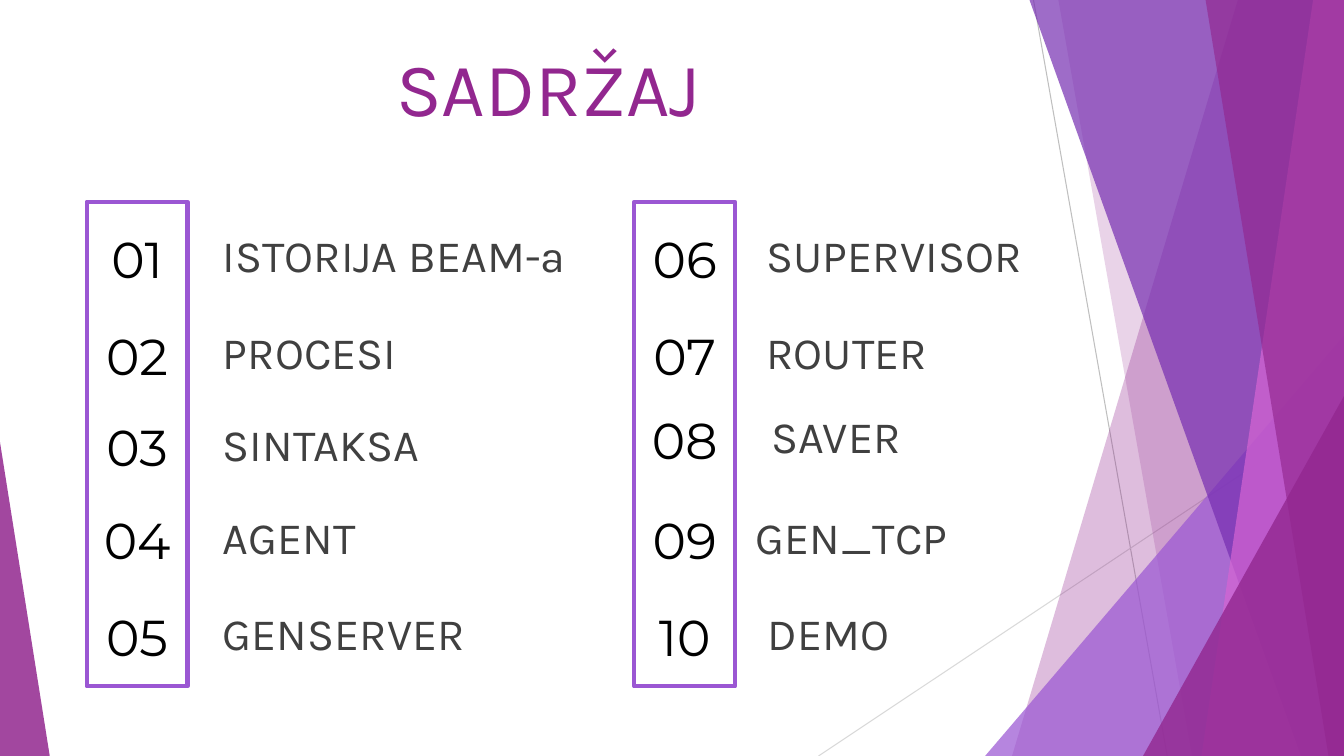
from lxml.etree import SubElement
from pptx import Presentation
from pptx.dml.color import RGBColor
from pptx.enum.shapes import MSO_CONNECTOR as Connector, MSO_SHAPE as Shape
from pptx.enum.text import MSO_ANCHOR as Anchor, MSO_AUTO_SIZE as AutoSize, PP_ALIGN as Align
from pptx.oxml.ns import qn
from pptx.util import Inches, Pt

WIDTH, HEIGHT = Inches(13.33), Inches(7.5)
PURPLE, LAVENDER, VIOLET, PINK = "92278F", "9B57D3", "762EB1", "D665D3"
TITLE = {"size": Pt(54), "name": "Karla", "color": PURPLE}
NUMBER = {"size": Pt(36), "name": "Montserrat", "color": "000000"}
LABEL = {"size": Pt(32), "name": "Karla", "color": "404040"}

# Row tops and label indents are percent of the slide, from the column's corner
ROW_TOPS = [2.8, 15.6, 27.7, 40, 52.8]
LEFT_ITEMS = [(label, 9.4, top) for label, top in zip(
    ["ISTORIJA BEAM-a", "PROCESI", "SINTAKSA", "AGENT", "GENSERVER"], ROW_TOPS)]
RIGHT_ITEMS = [
    ("SUPERVISOR", 9.1, ROW_TOPS[0]),
    ("ROUTER", 9.1, ROW_TOPS[1]),
    ("SAVER", 9.45, 26.7),
    ("GEN_TCP", 8.3, ROW_TOPS[3]),
    ("DEMO", 9.2, ROW_TOPS[4]),
]


def across(percent):
    return round(WIDTH * percent / 100)


def down(percent):
    return round(HEIGHT * percent / 100)


def place(left, top, width, height):
    """Turn a box in percent of the slide into lengths."""
    return across(left), down(top), across(width), down(height)


def color(hex_text):
    return RGBColor.from_string(hex_text)


def add_text(page, box, text, style, align=Align.LEFT, fit=AutoSize.SHAPE_TO_FIT_TEXT):
    frame = page.shapes.add_textbox(*place(*box)).text_frame
    settings = {"word_wrap": True, "auto_size": fit, "vertical_anchor": Anchor.TOP}
    for name, value in settings.items():
        setattr(frame, name, value)
    para = frame.paragraphs[0]
    para.alignment = align
    span = para.add_run()
    span.text = text
    for name, value in style.items():
        if name == "color":
            span.font.color.rgb = color(value)
        else:
            setattr(span.font, name, value)


def tint(shape, fill, opacity):
    """Give a shape a see-through fill, without outline or shadow."""
    shape.shadow.inherit = False
    shape.line.fill.background()
    shape.fill.solid()
    shape.fill.fore_color.rgb = color(fill)
    solid = shape.fill._xPr.find(qn("a:solidFill"))
    SubElement(solid[0], qn("a:alpha"), val=str(opacity * 1000))


def add_ray(page, start, end, stroke):
    ray = page.shapes.add_connector(
        Connector.STRAIGHT, across(start[0]), down(start[1]), across(end[0]), down(end[1]))
    ray.line.color.rgb = color(stroke)
    ray.line.width = Pt(0.75)
    SubElement(ray._element.spPr, qn("a:effectLst"))


def add_band(page, top_left, bottom_left, fill, opacity):
    """Fill from a slanted left edge to the slide's right edge."""
    builder = page.shapes.build_freeform(across(top_left), 0)
    builder.add_line_segments(
        [(WIDTH, 0), (WIDTH, HEIGHT), (across(bottom_left), HEIGHT)], close=True)
    tint(builder.convert_to_shape(), fill, opacity)


def add_wedge(page, left, top, right, peak, fill, opacity):
    """Stand a triangle on the slide's bottom edge."""
    wedge = page.shapes.add_shape(
        Shape.ISOSCELES_TRIANGLE, *place(left, top, right - left, 100 - top))
    wedge.adjustments[0] = peak
    tint(wedge, fill, opacity)


def add_facets(page):
    add_ray(page, (76.9, 0), (86.85, 100), "BFBFBF")
    add_ray(page, (100, 53.7), (60.9, 100), "D9D9D9")
    add_band(page, 92.1, 75.3, PURPLE, 30)
    add_band(page, 78.75, 88.7, PURPLE, 20)
    add_wedge(page, 73.3, 44.4, 100, 1, LAVENDER, 72)
    add_band(page, 76.6, 96.8, VIOLET, 70)
    add_band(page, 97.7, 89.4, PINK, 70)
    add_band(page, 89.7, 98.85, PURPLE, 65)
    add_wedge(page, 85.05, 52.4, 100, 1, PURPLE, 80)
    add_wedge(page, 0, 58.5, 3.7, 0, PURPLE, 85)


def add_contents_column(page, box, first_number, items):
    left, top, width, height = box
    border = page.shapes.add_shape(Shape.RECTANGLE, *place(*box))
    border.shadow.inherit = False
    border.fill.solid()
    border.fill.fore_color.rgb = color("FFFFFF")
    border.line.color.rgb = color(LAVENDER)
    border.line.width = Pt(3)
    for number, (label, indent, row_top) in enumerate(items, first_number):
        row = top + row_top
        add_text(page, (left, row, width, 9.5), f"{number:02}", NUMBER, Align.CENTER)
        add_text(page, (left + indent, row, 31, 8.5), label, LABEL)


def main():
    deck = Presentation()
    deck.slide_width, deck.slide_height = WIDTH, HEIGHT
    page = deck.slides.add_slide(deck.slide_layouts[6])
    add_facets(page)
    add_text(page, (5.55, 4.8, 70.5, 19.2), "SADRŽAJ", TITLE, Align.CENTER, AutoSize.NONE)
    add_contents_column(page, (6.45, 26.7, 7.5, 64.1), 1, LEFT_ITEMS)
    add_contents_column(page, (47.2, 26.7, 7.5, 64.1), 6, RIGHT_ITEMS)
    deck.save("out.pptx")


if __name__ == "__main__":
    main()
